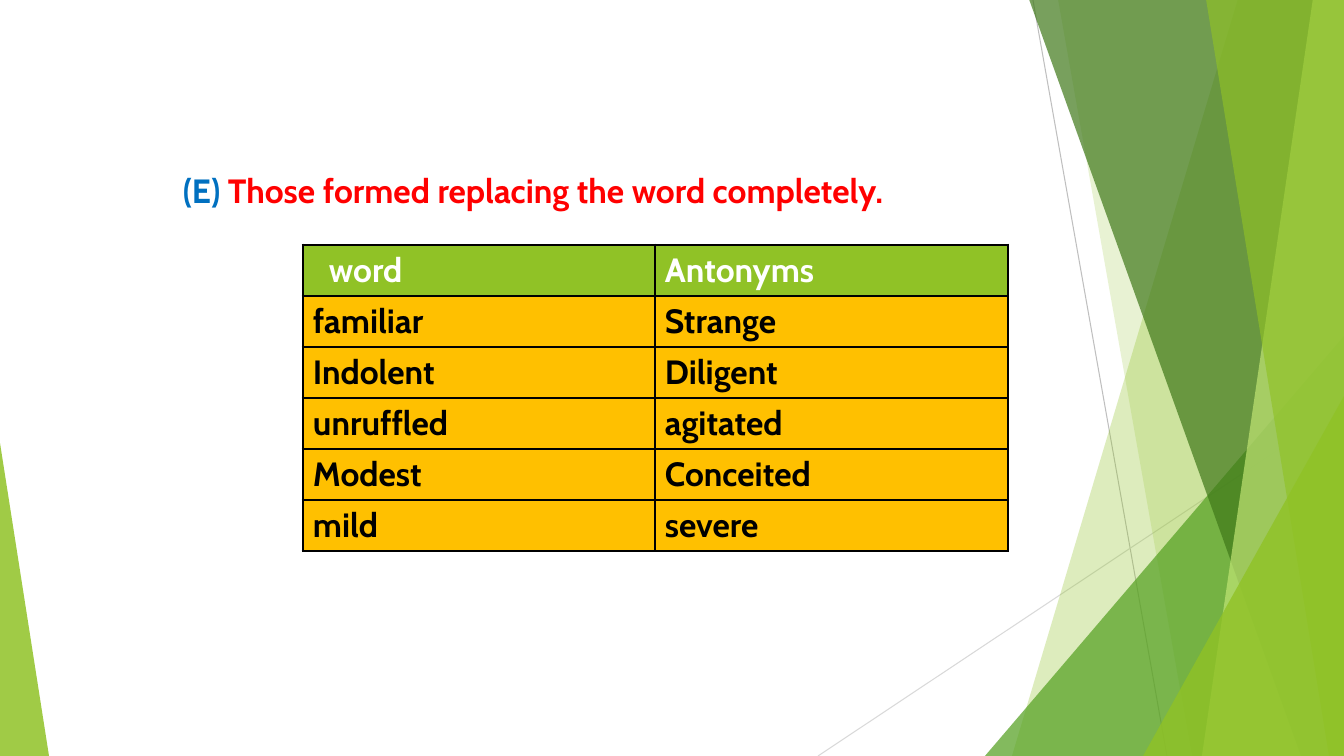
from lxml.etree import SubElement
from pptx import Presentation
from pptx.dml.color import RGBColor
from pptx.enum.shapes import MSO_CONNECTOR, MSO_SHAPE
from pptx.enum.text import MSO_ANCHOR
from pptx.oxml.ns import qn
from pptx.util import Pt

WIDE, HIGH = 1344, 756
SCALE = 12192000 / WIDE
COLORS = {
    "lime": "90C226", "pale": "C0E474", "green": "54A021", "dark": "3F7819",
    "gold": "FFC000", "blue": "0070C0", "red": "FF0000", "black": "000000",
    "white": "FFFFFF", "gray": "BFBFBF", "light": "D9D9D9",
}


def px(n):
    return round(n * SCALE)


def rgb(name):
    return RGBColor.from_string(COLORS[name])


def write(para, text, color="black", size=24, bold=True, font="Cabin"):
    run = para.add_run()
    run.text = text
    run.font.name, run.font.size, run.font.bold = font, Pt(size), bold
    run.font.color.rgb = rgb(color)


class Page:
    def __init__(self, slide, edge=2.25):
        self.shapes = slide.shapes
        self.edge = edge

    def paint(self, shape, color, alpha):
        shape.shadow.inherit = False
        shape.line.fill.background()
        shape.fill.solid()
        shape.fill.fore_color.rgb = rgb(color)
        tint = shape.fill._xPr.find(qn("a:solidFill"))[0]
        SubElement(tint, qn("a:alpha"), val=str(alpha * 1000))

    def line(self, x1, y1, x2, y2, color):
        rule = self.shapes.add_connector(
            MSO_CONNECTOR.STRAIGHT, px(x1), px(y1), px(x2), px(y2))
        rule.line.color.rgb = rgb(color)
        rule.line.width = Pt(0.75)
        SubElement(rule._element.spPr, qn("a:effectLst"))

    def band(self, top, foot, color, alpha):
        """Fill from a slanted left edge to the right side of the slide."""
        form = self.shapes.build_freeform(top, -1, scale=SCALE)
        form.add_line_segments([(WIDE, -1), (WIDE, HIGH), (foot, HIGH)])
        self.paint(form.convert_to_shape(), color, alpha)

    def wedge(self, x, y, wide, peak, color, alpha):
        """Triangle that stands on the bottom of the slide."""
        shape = self.shapes.add_shape(
            MSO_SHAPE.ISOSCELES_TRIANGLE, px(x), px(y), px(wide), px(HIGH - y))
        shape.adjustments[0] = peak
        self.paint(shape, color, alpha)

    def text(self, x, y, wide, high, parts):
        frame = self.shapes.add_textbox(
            px(x), px(y), px(wide), px(high)).text_frame
        frame.word_wrap = True
        frame.margin_left = frame.margin_right = 0
        frame.margin_top = frame.margin_bottom = 0
        for words, color in parts:
            write(frame.paragraphs[0], words, color=color)

    def cell(self, cell, words, color, fill):
        cell.margin_left = cell.margin_right = px(10)
        cell.margin_top = cell.margin_bottom = px(5)
        cell.vertical_anchor = MSO_ANCHOR.TOP
        write(cell.text_frame.paragraphs[0], words, color=color)
        props = cell._tc.get_or_add_tcPr()
        for side in ("lnL", "lnR", "lnT", "lnB"):
            line = SubElement(props, qn("a:" + side), w=str(Pt(self.edge)))
            solid = SubElement(line, qn("a:solidFill"))
            SubElement(solid, qn("a:srgbClr"), val=COLORS["black"])
        cell.fill.solid()
        cell.fill.fore_color.rgb = rgb(fill)

    def table(self, x, y, wides, high, rows):
        table = self.shapes.add_table(
            len(rows), len(wides), px(x), px(y),
            px(sum(wides)), px(high * len(rows))).table
        table.horz_banding = False
        for col, wide in zip(table.columns, wides):
            col.width = px(wide)
        for i, row in enumerate(rows):
            table.rows[i].height = px(high)
            color, fill = ("black", "gold") if i else ("white", "lime")
            for j, words in enumerate(row):
                self.cell(table.cell(i, j), words, color, fill)
        return table


def main():
    deck = Presentation()
    deck.slide_width, deck.slide_height = px(WIDE), px(HIGH)
    page = Page(deck.slides.add_slide(deck.slide_layouts[6]))

    # Green facets
    page.line(1033, 0, 1167, HIGH, "gray")
    page.line(WIDE, 406, 818, HIGH, "light")
    page.band(1238, 1012, "lime", 30)
    page.band(1058, 1192, "lime", 20)
    page.wedge(985, 336, 359, 1, "green", 72)
    page.band(1029, 1301, "dark", 70)
    page.band(1313, 1202, "pale", 70)
    page.band(1206, 1329, "lime", 65)
    page.wedge(1143, 396, 201, 1, "lime", 80)
    page.wedge(0, 443, 49, 0, "lime", 85)

    # Heading
    page.text(183, 170, 780, 41, [
        ("(E) ", "blue"),
        ("Those formed replacing the word completely.", "red"),
    ])

    # Word pairs
    table = page.table(303, 245, (352, 353), 51, [
        ("word", "Antonyms"),
        ("familiar", "Strange"),
        ("Indolent", "Diligent"),
        ("unruffled", "agitated"),
        ("Modest", "Conceited"),
        ("mild", "severe"),
    ])
    table.cell(0, 0).margin_left = px(26)

    deck.save("out.pptx")


if __name__ == "__main__":
    main()
